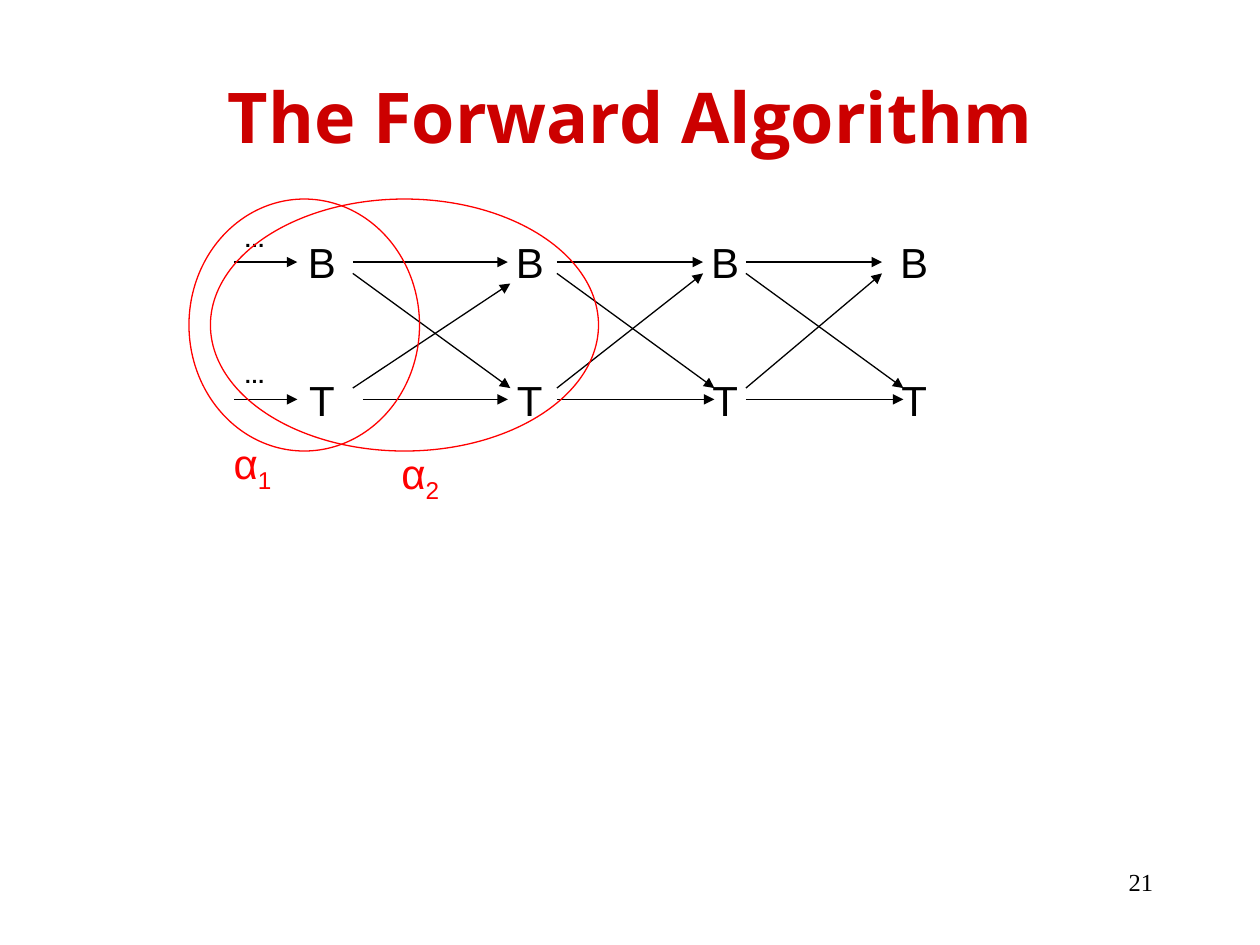
import pptx
import pptx.dml.color
import pptx.enum.shapes
import pptx.enum.text
import pptx.oxml.ns
import pptx.util
from lxml import etree

Inches = pptx.util.Inches
ALIGN = pptx.enum.text.PP_ALIGN

BLACK, RED, TITLE_RED = "000000", "FF0000", "CC0000"
TITLE = {"name": "Open Sans", "size": pptx.util.Pt(40), "bold": True}
STATE = {"name": "Arial", "size": pptx.util.Pt(24)}
DOTS = {"name": "Arial", "size": pptx.util.Pt(12), "bold": True}
NUMBER = {"name": "Times New Roman", "size": pptx.util.Pt(14)}

STATE_LEFTS = [2.22, 3.87, 5.42, 6.92]
STATE_TOPS = {"B": 1.83, "T": 2.92}
B_LINE, T_LINE = 2.08, 3.17
BELOW_B, ABOVE_T = 2.17, 3.08

STAGES = [
    {"start": 2.8, "t_start": 2.88, "b_end": 4.03, "t_end": 4.03,
     "down_end": 4.05, "up_end": (4.05, 2.25)},
    {"start": 4.42, "t_start": 4.42, "b_end": 5.58, "t_end": 5.67,
     "down_end": 5.67, "up_end": (5.58, BELOW_B)},
    {"start": 5.92, "t_start": 5.92, "b_end": 7, "t_end": 7.17,
     "down_end": 7.17, "up_end": (7, BELOW_B)},
]


def color(value):
    return pptx.dml.color.RGBColor.from_string(value)


def add_span(para, text, formats, fill):
    span = para.add_run()
    span.text = text
    for name, value in formats.items():
        setattr(span.font, name, value)
    span.font.color.rgb = color(fill)
    return span


def add_text(page, place, text, formats, fill=BLACK, align=ALIGN.CENTER, wrap=True):
    box = page.shapes.add_textbox(*map(Inches, place))
    box.text_frame.word_wrap = wrap
    para = box.text_frame.paragraphs[0]
    para.alignment = align
    add_span(para, text, formats, fill)
    return para


def add_title(page, text):
    title = page.shapes.title
    place = {"left": 0, "top": 0.33, "width": 10, "height": 1.17}
    for name, value in place.items():
        setattr(title, name, Inches(value))
    title.text_frame.vertical_anchor = pptx.enum.text.MSO_ANCHOR.MIDDLE
    para = title.text_frame.paragraphs[0]
    para.alignment = ALIGN.CENTER
    add_span(para, text, TITLE, TITLE_RED)


def add_arrow(page, start, end):
    arrow = page.shapes.add_connector(
        pptx.enum.shapes.MSO_CONNECTOR.STRAIGHT, *map(Inches, start + end))
    arrow.line.color.rgb = color(BLACK)
    arrow.line.width = pptx.util.Pt(0.75)
    qn = pptx.oxml.ns.qn
    etree.SubElement(arrow.line._get_or_add_ln(), qn("a:tailEnd"), type="triangle")
    etree.SubElement(arrow._element.spPr, qn("a:effectLst"))


def add_ellipse(page, place):
    ellipse = page.shapes.add_shape(
        pptx.enum.shapes.MSO_SHAPE.OVAL, *map(Inches, place))
    ellipse.shadow.inherit = False
    ellipse.fill.background()
    ellipse.line.color.rgb = color(RED)
    ellipse.line.width = pptx.util.Pt(0.75)


def add_alpha(page, left, top, index):
    para = add_text(page, (left, top, 0.67, 0.56), "α", STATE, RED)
    span = add_span(para, index, STATE, RED)
    span._r.get_or_add_rPr().set("baseline", "-25000")


def add_stage(page, stage):
    start = stage["start"]
    add_arrow(page, (start, B_LINE), (stage["b_end"], B_LINE))
    add_arrow(page, (stage["t_start"], T_LINE), (stage["t_end"], T_LINE))
    add_arrow(page, (start, BELOW_B), (stage["down_end"], ABOVE_T))
    add_arrow(page, (start, ABOVE_T), stage["up_end"])


def main():
    deck = pptx.Presentation()
    deck.slide_width, deck.slide_height = Inches(10), Inches(7.5)
    page = deck.slides.add_slide(deck.slide_layouts[5])

    add_text(page, (7.17, 6.83, 2.08, 0.5), "21", NUMBER, align=ALIGN.RIGHT)
    add_title(page, "The Forward Algorithm")
    for state, top in STATE_TOPS.items():
        for left in STATE_LEFTS:
            add_text(page, (left, top, 0.67, 0.5), state, STATE)
    for stage in STAGES:
        add_stage(page, stage)
    for line, dots_top in ((B_LINE, 1.75), (T_LINE, 2.83)):
        add_arrow(page, (1.86, line), (2.36, line))
        add_text(page, (1.84, dots_top, 0.36, 0.3), "…", DOTS, wrap=False)
    for left, width in ((1.5, 1.83), (1.67, 3.08)):
        add_ellipse(page, (left, 1.58, width, 2))
    add_alpha(page, 1.67, 3.42, "1")
    add_alpha(page, 3, 3.5, "2")

    deck.save("out.pptx")


if __name__ == "__main__":
    main()
